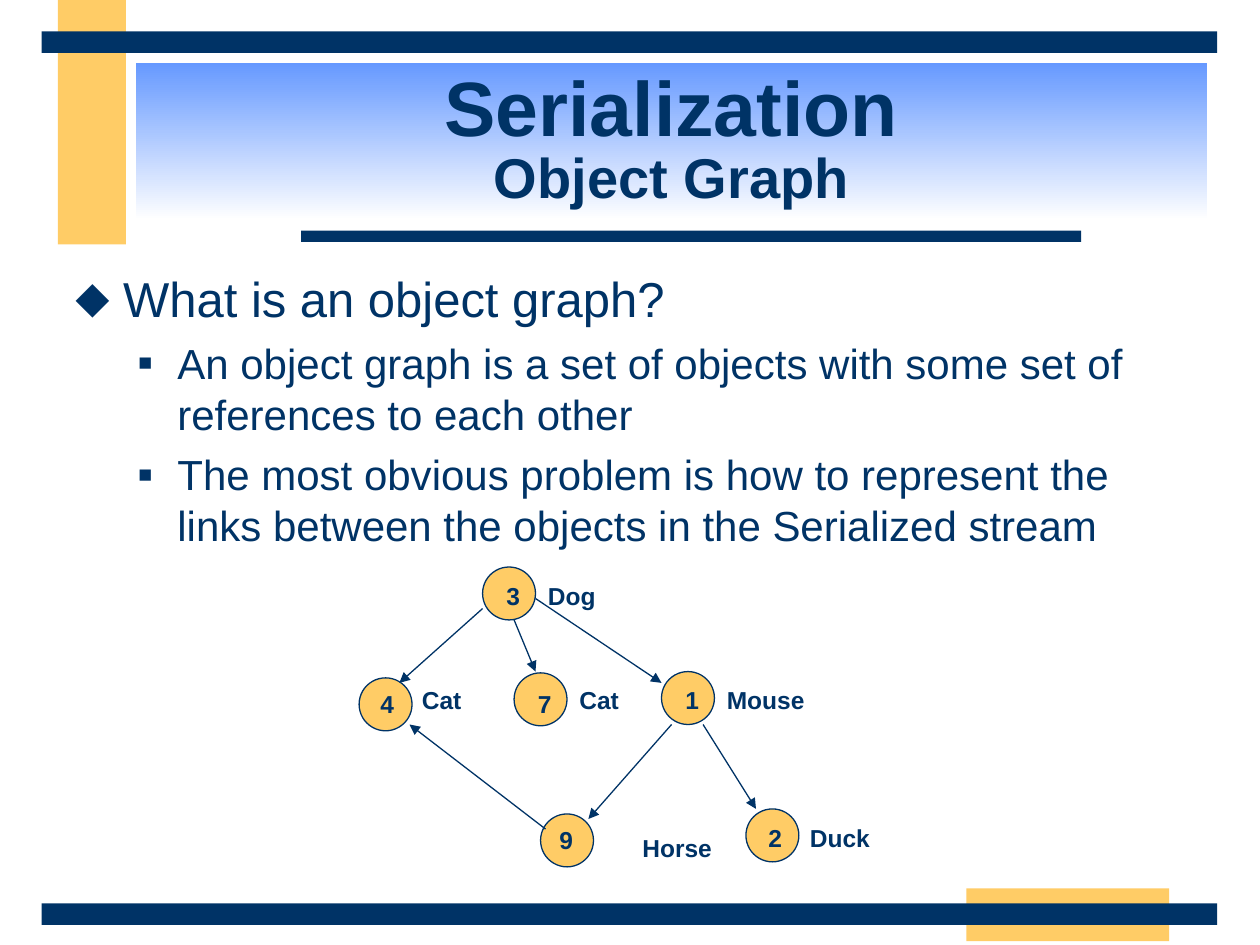
from lxml import etree
from pptx import Presentation
from pptx.dml.color import RGBColor
from pptx.enum.shapes import MSO_CONNECTOR, MSO_SHAPE
from pptx.enum.text import MSO_ANCHOR, MSO_AUTO_SIZE, PP_ALIGN
from pptx.oxml.ns import qn
from pptx.util import Inches, Pt

RECT, OVAL = MSO_SHAPE.RECTANGLE, MSO_SHAPE.OVAL
STRAIGHT = MSO_CONNECTOR.STRAIGHT
MIDDLE, TOP = MSO_ANCHOR.MIDDLE, MSO_ANCHOR.TOP
CENTER, LEFT = PP_ALIGN.CENTER, PP_ALIGN.LEFT
FIXED, GROW = MSO_AUTO_SIZE.NONE, MSO_AUTO_SIZE.SHAPE_TO_FIT_TEXT
NAVY, GOLD, BLUE, WHITE = "003366", "FFCC66", "6699FF", "FFFFFF"
FONT = "Arial"
NODE = 0.42

# Bars: box, colour
BARS = [
    ((0.46, 0, 0.54, 1.94), GOLD),
    ((7.67, 7.05, 1.61, 0.42), GOLD),
    ((2.39, 1.83, 6.19, 0.09), NAVY),
    ((0.33, 7.17, 9.33, 0.17), NAVY),
    ((0.33, 0.25, 9.33, 0.17), NAVY),
]

# Body: level, text
POINTS = [
    (0, "What is an object graph?"),
    (1, "An object graph is a set of objects with some set of "
        "references to each other"),
    (1, "The most obvious problem is how to represent the "
        "links between the objects in the Serialized stream"),
]
# Level style: size, space before, margin, indent, bullet, bullet percent
STYLES = [(28, 7, 0.38, -0.38, "⬥", 100), (24, 6, 0.81, -0.31, "■", 55)]

# Graph, relative to its box: node corner, number box, name, name box
NODES = [
    ((0.98, 0), "3", (1.07, 0.06, 0.32), "Dog", (1.4, 0.06, 0.6)),
    ((0, 0.88), "4", (0.07, 0.92, 0.32), "Cat", (0.4, 0.89, 0.54)),
    ((1.44, 1.96), "9", (1.49, 2, 0.32), "Horse", (2.15, 2.06, 0.77)),
    ((2.4, 0.83), "1", (2.49, 0.89, 0.32), "Mouse", (2.82, 0.89, 0.84)),
    ((3.07, 1.92), "2", (3.15, 1.98, 0.32), "Duck", (3.48, 1.98, 0.7)),
    ((1.23, 0.84), "7", (1.32, 0.92, 0.32), "Cat", (1.65, 0.89, 0.54)),
]
LINKS = [
    (1.23, 0.42, 1.4, 0.83), (0.98, 0.33, 0.32, 0.92),
    (1.4, 0.25, 2.4, 0.92), (2.73, 1.25, 3.15, 1.92),
    (2.48, 1.25, 1.82, 2), (1.48, 2.08, 0.4, 1.25),
]


def color(code):
    return RGBColor.from_string(code)


def style(run, size, bold=False):
    run.font.name = FONT
    run.font.size = Pt(size)
    run.font.bold = bold
    run.font.color.rgb = color(NAVY)


def add_form(slide, kind, box, fill, line=None):
    form = slide.shapes.add_shape(kind, *map(Inches, box))
    form.shadow.inherit = False
    form.fill.solid()
    form.fill.fore_color.rgb = color(fill)
    if line:
        form.line.color.rgb = color(line)
        form.line.width = Pt(0.75)
    else:
        form.line.fill.background()


def add_label(slide, text, left, top, width):
    label = slide.shapes.add_textbox(*map(Inches, (left, top, width, 0.34)))
    frame = label.text_frame
    frame.word_wrap = False
    frame.auto_size = GROW
    frame.text = text
    style(frame.paragraphs[0].runs[0], 14, True)


def add_arrow(slide, ends):
    arrow = slide.shapes.add_connector(STRAIGHT, *map(Inches, ends))
    arrow.line.color.rgb = color(NAVY)
    arrow.line.width = Pt(0.75)
    tip = etree.SubElement(arrow.line._get_or_add_ln(), qn("a:tailEnd"))
    tip.set("type", "triangle")
    etree.SubElement(arrow._element.spPr, qn("a:effectLst"))


def add_bullet(para, margin, indent, mark, scale):
    props = para._p.get_or_add_pPr()
    props.set("marL", str(Inches(margin)))
    props.set("indent", str(Inches(indent)))
    tint = etree.SubElement(props, qn("a:buClr"))
    etree.SubElement(tint, qn("a:srgbClr")).set("val", NAVY)
    size = etree.SubElement(props, qn("a:buSzPct"))
    size.set("val", str(scale * 1000))
    etree.SubElement(props, qn("a:buFont")).set("typeface", FONT)
    etree.SubElement(props, qn("a:buChar")).set("char", mark)


def fill_title(slide, box):
    title = slide.shapes.title
    title.left, title.top, title.width, title.height = map(Inches, box)
    # Blue fades to white downwards
    title.fill.gradient()
    title.fill.gradient_angle = 270
    for stop, code, place in zip(title.fill.gradient_stops,
                                 (BLUE, WHITE), (0, 1)):
        stop.color.rgb = color(code)
        stop.position = place
    frame = title.text_frame
    frame.auto_size = FIXED
    frame.vertical_anchor = MIDDLE
    para = frame.paragraphs[0]
    para.text = "Serialization\nObject Graph"
    para.alignment = CENTER
    para.line_spacing = 0.85
    for run, size in zip(para.runs, (44, 32)):
        style(run, size, True)


def add_body(slide, box):
    frame = slide.shapes.add_textbox(*map(Inches, box)).text_frame
    frame.word_wrap = True
    frame.vertical_anchor = TOP
    frame.text = "\n".join(text for _, text in POINTS)
    for para, (level, _) in zip(frame.paragraphs, POINTS):
        size, before, *bullet = STYLES[level]
        para.level = level
        para.alignment = LEFT
        para.space_before = Pt(before)
        add_bullet(para, *bullet)
        style(para.runs[0], size)


def add_graph(slide, left, top):
    # Circles, then their numbers and names
    for (x, y), *_ in NODES:
        add_form(slide, OVAL, (left + x, top + y, NODE, NODE), GOLD, NAVY)
    for _, number, spot, name, place in NODES:
        for text, (x, y, width) in ((number, spot), (name, place)):
            add_label(slide, text, left + x, top + y, width)
    # References
    for x1, y1, x2, y2 in LINKS:
        add_arrow(slide, (left + x1, top + y1, left + x2, top + y2))


def main():
    deck = Presentation()
    deck.slide_width, deck.slide_height = Inches(10), Inches(7.5)
    slide = deck.slides.add_slide(deck.slide_layouts[5])
    for box, fill in BARS:
        add_form(slide, RECT, box, fill)
    fill_title(slide, (1.08, 0.5, 8.5, 1.25))
    add_body(slide, (0.5, 2.08, 9, 4.92))
    add_graph(slide, 2.85, 4.5)
    deck.save("out.pptx")


if __name__ == "__main__":
    main()
